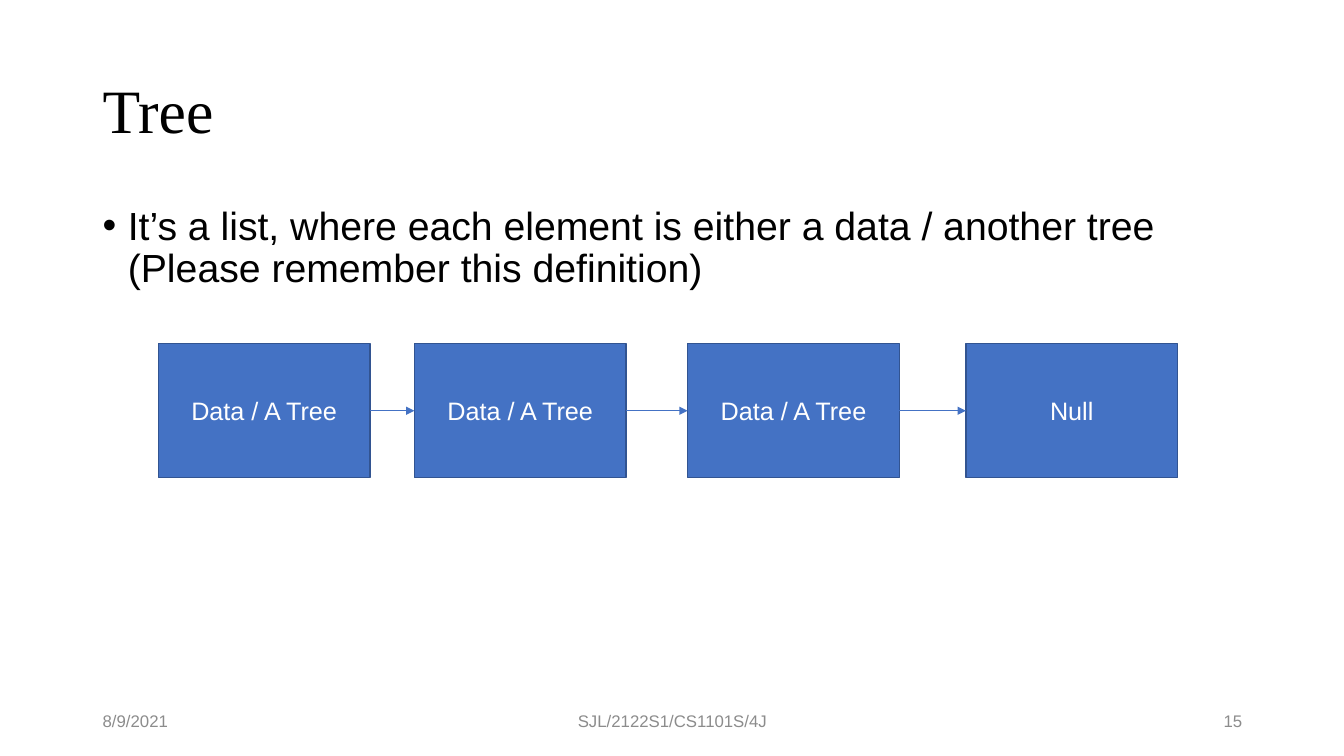
import pptx
import pptx.util
import pptx.dml.color
import pptx.enum.shapes
import pptx.enum.text
import pptx.oxml
import pptx.oxml.ns
import lxml.etree

Inches = pptx.util.Inches
Pt = pptx.util.Pt
ALIGN = pptx.enum.text.PP_ALIGN
ANCHOR = pptx.enum.text.MSO_ANCHOR
COLORS = {"text": "000000", "footer": "8C8C8C", "node": "4472C4",
          "border": "325491", "label": "FFFFFF"}


def rgb(name):
    return pptx.dml.color.RGBColor.from_string(COLORS[name])


def add_xml(parent, tag, **attributes):
    return lxml.etree.SubElement(parent, pptx.oxml.ns.qn(tag), attributes)


class SlideBuilder:
    def __init__(self, slide, font="Arial"):
        self.slide = slide
        self.font = font

    def fill_text(self, shape, text, size, color, font=None,
                  anchor=ANCHOR.MIDDLE, **formats):
        frame = shape.text_frame
        frame.word_wrap = True
        frame.vertical_anchor = anchor
        paragraph = frame.paragraphs[0]
        for name, value in formats.items():
            setattr(paragraph, name, value)
        run = paragraph.add_run()
        run.text = text
        run.font.name = font or self.font
        run.font.size = Pt(size)
        run.font.color.rgb = rgb(color)
        return paragraph

    def text(self, left, top, width, height, text, size, color, **formats):
        box = self.slide.shapes.add_textbox(
            Inches(left), Inches(top), Inches(width), Inches(height))
        return self.fill_text(box, text, size, color, **formats)

    def bullet(self, *args, **formats):
        properties = self.text(*args, **formats)._p.get_or_add_pPr()
        properties.set("marL", str(Inches(0.25)))
        properties.set("indent", str(Inches(-0.25)))
        add_xml(properties, "a:buFont", typeface=self.font)
        add_xml(properties, "a:buChar", char="•")

    def node(self, left, top, width, height, label):
        box = self.slide.shapes.add_shape(
            pptx.enum.shapes.MSO_SHAPE.RECTANGLE,
            Inches(left), Inches(top), Inches(width), Inches(height))
        box.shadow.inherit = False
        box.fill.solid()
        box.fill.fore_color.rgb = rgb("node")
        box.line.color.rgb = rgb("border")
        box.line.width = Pt(1)
        self.fill_text(box, label, 18, "label", alignment=ALIGN.CENTER)
        return box

    def arrow(self, source, target):
        link = self.slide.shapes.add_connector(
            pptx.enum.shapes.MSO_CONNECTOR.STRAIGHT, 0, 0, 0, 0)
        link.begin_connect(source, 3)
        link.end_connect(target, 1)
        link.line.color.rgb = rgb("node")
        link.line.width = Pt(0.5)
        properties = link._element.spPr
        add_xml(properties.get_or_add_ln(), "a:tailEnd", type="triangle")
        add_xml(properties, "a:effectLst")


deck = pptx.Presentation()
deck.slide_width, deck.slide_height = Inches(13.33), Inches(7.5)
page = SlideBuilder(deck.slides.add_slide(deck.slide_layouts[6]))

# Title and definition
page.text(0.92, 0.4, 11.5, 1.45, "Tree", 44, "text",
          font="Times New Roman", line_spacing=0.9)
page.bullet(0.92, 2, 11.5, 4.76,
            "It’s a list, where each element is either a data / another tree "
            "(Please remember this definition)", 28, "text",
            anchor=ANCHOR.TOP, line_spacing=0.9, space_before=Pt(10))

# Footer
for left, width, footer, alignment in (
        (0.92, 3, "8/9/2021", ALIGN.LEFT),
        (4.42, 4.5, "SJL/2122S1/CS1101S/4J", ALIGN.CENTER),
        (9.42, 3, "15", ALIGN.RIGHT)):
    page.text(left, 6.95, width, 0.4, footer, 12, "footer", alignment=alignment)

# Linked list of nodes
data = "Data / A Tree"
nodes = [page.node(left, 3.41, 2.1, 1.33, label) for left, label in
         ((1.57, data), (4.11, data), (6.82, data), (9.58, "Null"))]
for source, target in zip(nodes, nodes[1:]):
    page.arrow(source, target)

deck.save("out.pptx")
